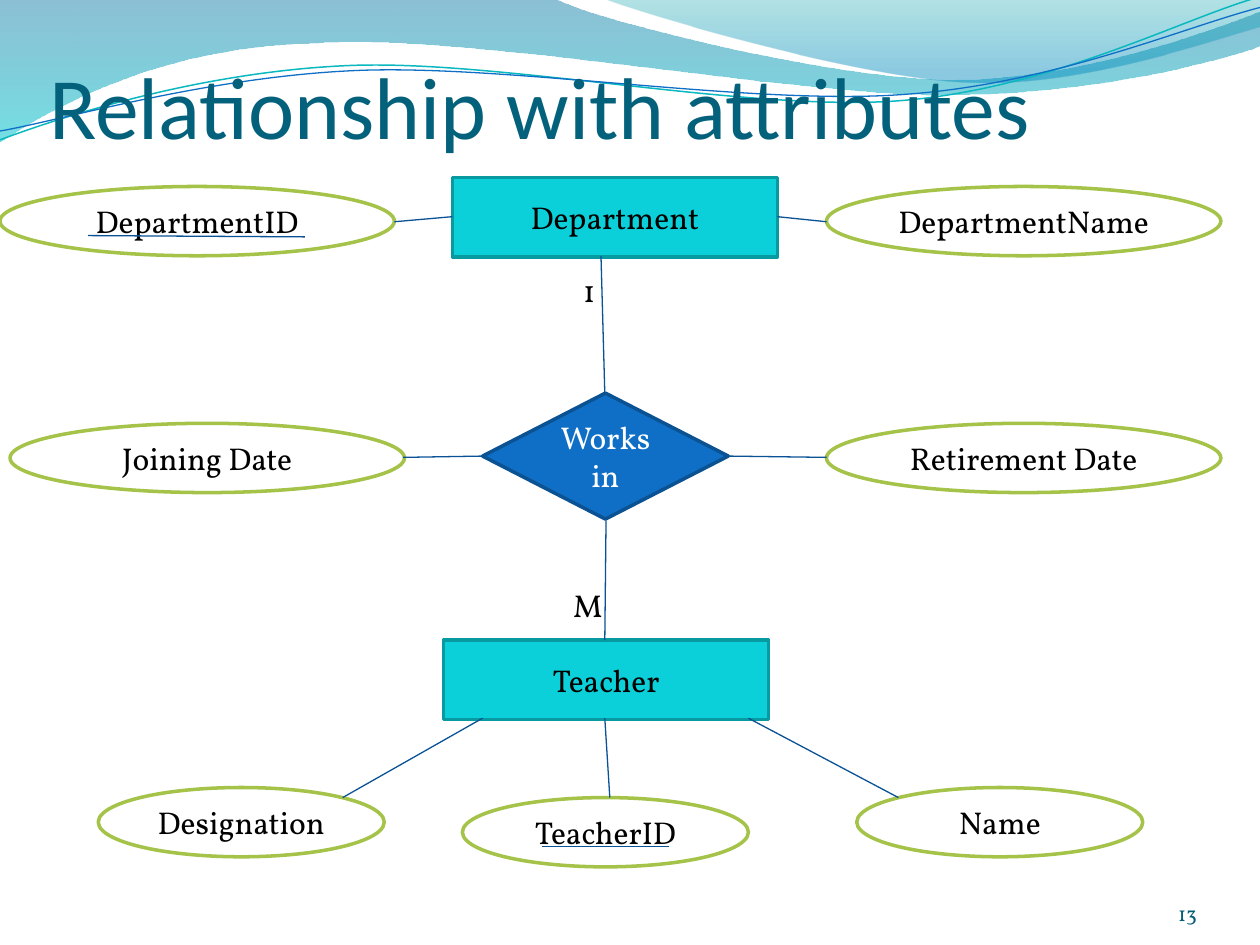
from math import cos, radians, sin

from lxml import etree
from pptx import Presentation
from pptx.dml.color import RGBColor
from pptx.enum.shapes import MSO_CONNECTOR, MSO_SHAPE
from pptx.enum.text import MSO_ANCHOR, MSO_AUTO_SIZE, PP_ALIGN
from pptx.oxml.ns import qn
from pptx.util import Inches, Pt

RECT, DIAMOND, ELLIPSE = MSO_SHAPE.RECTANGLE, MSO_SHAPE.DIAMOND, MSO_SHAPE.OVAL
STRAIGHT = MSO_CONNECTOR.STRAIGHT
LEFT, CENTER, RIGHT = PP_ALIGN.LEFT, PP_ALIGN.CENTER, PP_ALIGN.RIGHT
TOP, MIDDLE, BOTTOM = MSO_ANCHOR.TOP, MSO_ANCHOR.MIDDLE, MSO_ANCHOR.BOTTOM

BLACK = RGBColor(0x00, 0x00, 0x00)
WHITE = RGBColor(0xFF, 0xFF, 0xFF)
TITLE = RGBColor(0x04, 0x61, 0x7B)
NUMBER = RGBColor(0x04, 0x5D, 0x75)
CYAN = RGBColor(0x0B, 0xD0, 0xD9)
CYAN_EDGE = RGBColor(0x08, 0x9A, 0xA1)
BLUE = RGBColor(0x0F, 0x6F, 0xC6)
BLUE_EDGE = RGBColor(0x0B, 0x52, 0x92)
GREEN = RGBColor(0xA5, 0xC2, 0x49)
LINK = RGBColor(0x09, 0x52, 0x95)
TEAL = RGBColor(0x0A, 0xB8, 0xBF)
WAVE_BLUE = RGBColor(0x00, 0x74, 0xA1)
WAVE_CYAN = RGBColor(0x00, 0xC6, 0xCF)
CREST_GREEN = RGBColor(0x00, 0xA1, 0xA9)
CREST_BLUE = RGBColor(0x00, 0x8B, 0xBF)

HEAD_FONT, BODY_FONT = "Calibri", "Vollkorn"
STRAND_TILT = 357.3

STYLES = {
    "entity": (RECT, 2.58, 0.63, CYAN, CYAN_EDGE, BLACK),
    "relation": (DIAMOND, 1.95, 1, BLUE, BLUE_EDGE, WHITE),
    "wide": (ELLIPSE, 3.13, 0.55, WHITE, GREEN, BLACK),
    "narrow": (ELLIPSE, 2.27, 0.55, WHITE, GREEN, BLACK),
}
COL_LEFT, COL_MID, COL_RIGHT = 0.08, 4.8, 6.56
ROW_DEPT, ROW_WORKS, ROW_TEACHER, ROW_ATTR = 1.48, 3.36, 5.08, 6.25
TEACHER_BOTTOM, ATTR_TOP = 5.7, 6.33

NODES = [
    ("entity", "Teacher", 3.52, ROW_TEACHER),
    ("relation", "Works in", 3.83, 3.12),
    ("wide", "Retirement Date", COL_RIGHT, ROW_WORKS),
    ("wide", "Joining Date", COL_LEFT, ROW_WORKS),
    ("narrow", "Designation", 0.78, ROW_ATTR),
    ("narrow", "TeacherID", 3.67, ATTR_TOP),
    ("narrow", "Name", 6.8, ROW_ATTR),
    ("entity", "Department", 3.59, 1.41),
    ("wide", "DepartmentID", 0, ROW_DEPT),
    ("wide", "DepartmentName", COL_RIGHT, ROW_DEPT),
]
LINKS = [
    (COL_MID, ROW_TEACHER, 4.81, 4.13),
    (5.78, 3.62, COL_RIGHT, 3.63),
    (3.83, 3.62, 3.2, 3.63),
    (3.83, TEACHER_BOTTOM, 2.72, ATTR_TOP),
    (COL_MID, TEACHER_BOTTOM, 4.84, ATTR_TOP),
    (5.94, TEACHER_BOTTOM, 7.13, ATTR_TOP),
    (3.13, 1.76, 3.59, 1.72),
    (COL_MID, 3.12, 4.77, 2.03),
    (6.17, 1.72, COL_RIGHT, 1.76),
]
KEY_UNDERLINES = [(5.31, 6.72, 4.3, 6.72), (0.7, 1.87, 2.42, 1.88)]

WAVE = [(0, 0), (4.4, -0.01), (4.76, 0.17, 6.64, 0.63, 7.58, 0.63),
        (8.53, 0.63, 9.58, 0.26, 10, 0.09), (10.01, 0.36),
        (9.83, 0.44, 8.7, 0.76, 7.46, 0.75),
        (6.22, 0.75, 3.82, 0.28, 2.57, 0.34),
        (1.29, 0.36, 0.46, 0.83, -0.01, 1.13), (0, 0)]
CREST = [(4.79, -0.01), (5.09, 0.11, 6.82, 0.62, 7.69, 0.65),
         (8.56, 0.69, 9.61, 0.32, 10, 0.21), (10, 0), (4.79, -0.01)]
TEAL_STRAND = [(0, 1.11), (0.48, 0.93, 1.58, 0.57, 2.77, 0.52),
               (3.95, 0.47, 5.93, 0.89, 7.13, 0.8),
               (8.33, 0.71, 9.38, 0.15, 9.98, -0.02)]
BLUE_STRAND = [(0, 1.04), (0.47, 0.96, 1.64, 0.61, 2.83, 0.56),
               (4.03, 0.51, 5.97, 0.84, 7.17, 0.75),
               (8.36, 0.67, 9.41, 0.21, 10, 0.06)]


def pairs(seg):
    return list(zip(seg[::2], seg[1::2]))


def untilt(segments, cx, cy):
    a = radians(360 - STRAND_TILT)
    return [tuple(v for x, y in pairs(seg)
                  for v in (cx + (x - cx) * cos(a) - (y - cy) * sin(a),
                            cy + (x - cx) * sin(a) + (y - cy) * cos(a)))
            for seg in segments]


def add_outline(s, segments, close):
    points = [(Inches(x), Inches(y)) for seg in segments for x, y in pairs(seg)]
    builder = s.shapes.build_freeform(*points[0], scale=1.0)
    builder.add_line_segments(points[1:], close=close)
    sp = builder.convert_to_shape()
    sp.shadow.inherit = False
    steps = iter(list(sp._element.iter(qn("a:lnTo"))))
    for seg in segments[1:]:
        step = next(steps)
        if len(seg) == 6:
            step.tag = qn("a:cubicBezTo")
            for _ in range(2):
                extra = next(steps)
                step.append(extra[0])
                extra.getparent().remove(extra)
    return sp


def add_wave(s, segments, stops):
    sp = add_outline(s, segments, True)
    sp.line.fill.background()
    sp.fill.gradient()
    grad = sp._element.spPr.find(qn("a:gradFill"))
    for child in list(grad):
        grad.remove(child)
    gs_list = etree.SubElement(grad, qn("a:gsLst"))
    for pos, color, opacity in stops:
        gs = etree.SubElement(gs_list, qn("a:gs"), pos=str(pos * 1000))
        clr = etree.SubElement(gs, qn("a:srgbClr"), val=str(color))
        etree.SubElement(clr, qn("a:alpha"), val=str(opacity * 1000))
    etree.SubElement(grad, qn("a:lin"), ang="5400000", scaled="0")


def add_strand(s, segments, center, color, width):
    sp = add_outline(s, untilt(segments, *center), False)
    sp.rotation = STRAND_TILT
    sp.fill.background()
    sp.line.color.rgb = color
    sp.line.width = Pt(width)


def write(sp, text, size, color, font=BODY_FONT, align=LEFT, anchor=TOP, wrap=True):
    tf = sp.text_frame
    tf.word_wrap = wrap
    tf.vertical_anchor = anchor
    p = tf.paragraphs[0]
    p.alignment = align
    r = p.add_run()
    r.text = text
    r.font.size = Pt(size)
    r.font.name = font
    r.font.color.rgb = color
    return tf


def set_insets(tf, top=0):
    tf.margin_left = tf.margin_right = tf.margin_bottom = 0
    tf.margin_top = Inches(top)


def add_title(s, text):
    sp = s.shapes.title
    sp.left, sp.top, sp.width, sp.height = map(Inches, (0.39, 0.23, 9, 1.02))
    tf = write(sp, text, 50, TITLE, HEAD_FONT, LEFT, BOTTOM)
    tf.auto_size = MSO_AUTO_SIZE.NONE
    set_insets(tf, 0.05)
    s.shapes._spTree.append(sp._element)


def add_node(s, style, text, x, y):
    shape, w, h, fill, edge, color = STYLES[style]
    sp = s.shapes.add_shape(shape, *map(Inches, (x, y, w, h)))
    sp.shadow.inherit = False
    sp.fill.solid()
    sp.fill.fore_color.rgb = fill
    sp.line.color.rgb = edge
    sp.line.width = Pt(2)
    write(sp, text, 18, color, align=CENTER, anchor=MIDDLE)


def add_link(s, *ends):
    link = s.shapes.add_connector(STRAIGHT, *map(Inches, ends))
    link.line.color.rgb = LINK
    link.line.width = Pt(0.75)
    etree.SubElement(link._element.spPr, qn("a:effectLst"))


def add_label(s, text, x, y, w):
    sp = s.shapes.add_textbox(*map(Inches, (x, y, w, 0.4)))
    write(sp, text, 18, BLACK, wrap=False).auto_size = MSO_AUTO_SIZE.SHAPE_TO_FIT_TEXT


def add_number(s, text):
    sp = s.shapes.add_textbox(*map(Inches, (8.67, 6.95, 0.83, 0.4)))
    set_insets(write(sp, text, 12, NUMBER, align=RIGHT, anchor=BOTTOM))


def main():
    prs = Presentation()
    prs.slide_width, prs.slide_height = Inches(10), Inches(7.5)
    s = prs.slides.add_slide(prs.slide_layouts[5])
    add_wave(s, WAVE, [(0, WAVE_BLUE, 45), (100, WAVE_CYAN, 55)])
    add_wave(s, CREST, [(0, CREST_GREEN, 30), (80, CREST_BLUE, 45)])
    add_strand(s, TEAL_STRAND, (4.99, 0.58), TEAL, 0.85)
    add_strand(s, BLUE_STRAND, (5, 0.59), BLUE, 0.75)
    add_title(s, "Relationship with attributes")
    for node in NODES:
        add_node(s, *node)
    for ends in LINKS + KEY_UNDERLINES:
        add_link(s, *ends)
    add_label(s, "1", 4.53, 2.1, 0.28)
    add_label(s, "M", 4.45, 4.6, 0.43)
    add_number(s, "13")
    prs.save("out.pptx")


main()
